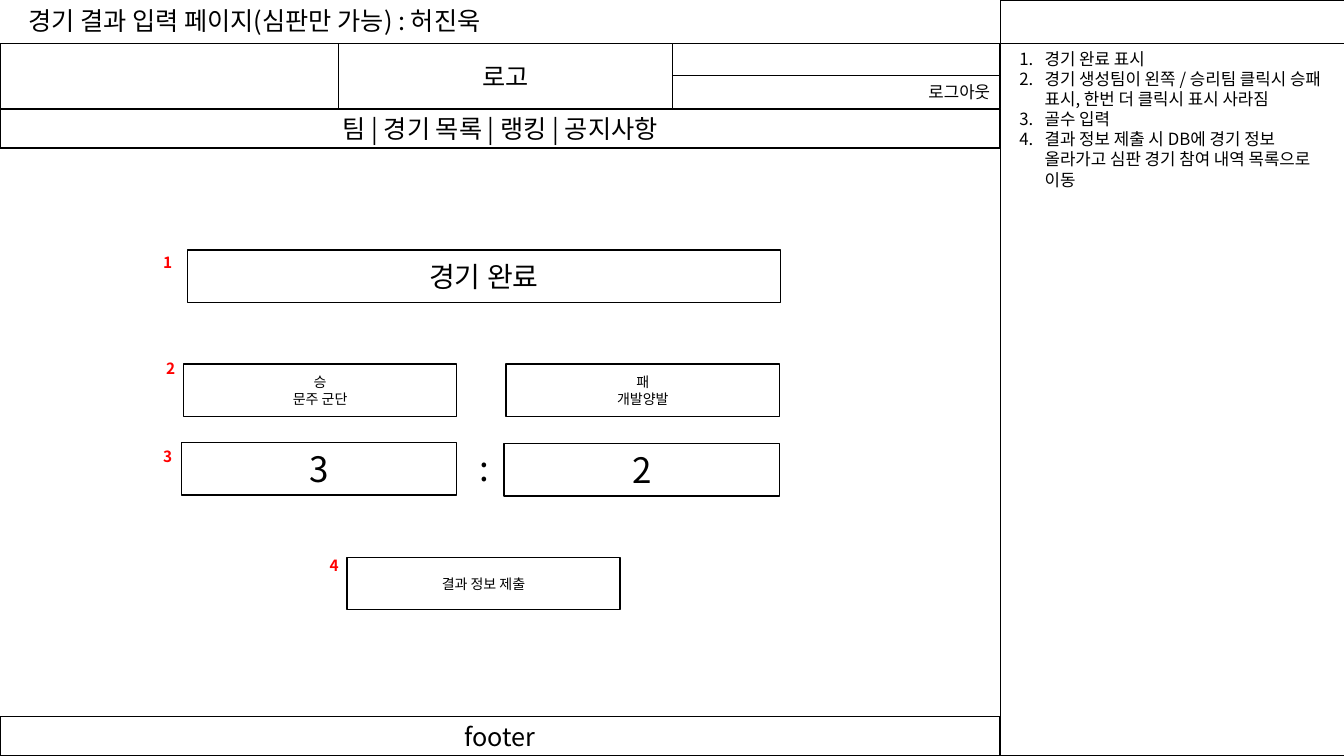
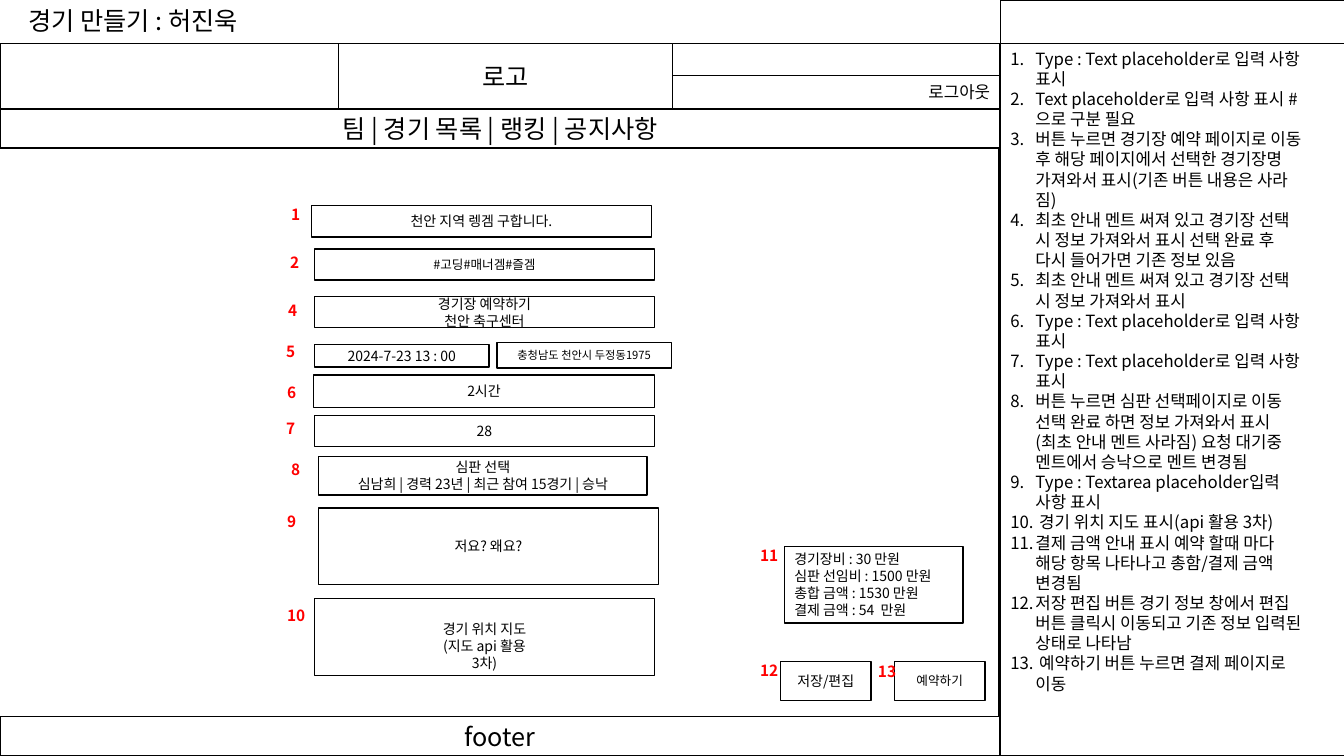
from dataclasses import dataclass

import pptx
import pptx.dml.color
import pptx.enum.shapes
import pptx.enum.text
import pptx.oxml
import pptx.oxml.ns
import pptx.util

Inches = pptx.util.Inches
Align = pptx.enum.text.PP_ALIGN
Anchor = pptx.enum.text.MSO_ANCHOR


@dataclass(frozen=True)
class Theme:
    font: str = "Noto Sans CJK KR"
    ink: str = "000000"
    paper: str = "FFFFFF"
    accent: str = "FF0000"
    line: float = 1
    heading: int = 18
    note: int = 12
    marker: int = 11
    banner: int = 20
    score: int = 25
    body: int = 10
    small: int = 9
    tiny: int = 8


@dataclass(frozen=True)
class Box:
    left: float
    top: float
    width: float
    height: float

    def inside(self, left, top, width, height):
        return Box(self.left + left, self.top + top, width, height)

    def lengths(self):
        return [Inches(v) for v in (self.left, self.top, self.width, self.height)]


@dataclass(frozen=True)
class Field:
    left: float
    top: float
    width: float
    height: float
    lines: tuple
    size: int = Theme.body
    number: str = ""
    marker_dx: float = 0
    marker_dy: float = 0
    align: Align = Align.CENTER
    margin_top: float = 0.05


THEME = Theme()
HEADER_TOP = 0.43
HEADER = Box(0, HEADER_TOP, 9.92, 1.04)
CONTENT = Box(0, 1.47, 9.92, 5.64)
FOOTER = Box(0, 7.11, 9.92, 0.39)
SIDEBAR = Box(9.92, 0, 3.42, 7.5)


def rgb(value):
    return pptx.dml.color.RGBColor.from_string(value)


def style_text(frame, size, align=Align.LEFT, color=THEME.ink, bold=False):
    for paragraph in frame.paragraphs:
        paragraph.alignment = align
        paragraph.line_spacing = 1.0
        paragraph.space_before = pptx.util.Pt(0)
        for run in paragraph.runs:
            run.font.name = THEME.font
            run.font.size = pptx.util.Pt(size)
            run.font.bold = bold
            run.font.color.rgb = rgb(color)
            east_asian = pptx.oxml.ns.qn("a:ea")
            run.font._element.makeelement(east_asian)
            pptx.oxml.xmlchemy.etree.SubElement(
                run.font._element, east_asian, typeface=THEME.font)


def outline(shape):
    shape.fill.solid()
    shape.fill.fore_color.rgb = rgb(THEME.paper)
    shape.line.color.rgb = rgb(THEME.ink)
    shape.line.width = pptx.util.Pt(THEME.line)


def add_panel(slide, box, lines=(), size=THEME.body, align=Align.CENTER):
    panel = slide.shapes.add_shape(
        pptx.enum.shapes.MSO_SHAPE.RECTANGLE, *box.lengths())
    panel.shadow.inherit = False
    outline(panel)
    if lines:
        panel.text_frame.text = "\n".join(lines)
        panel.text_frame.vertical_anchor = Anchor.MIDDLE
        style_text(panel.text_frame, size, align)
    return panel


def add_label(slide, box, text, size, color=THEME.ink, bold=False):
    label = slide.shapes.add_textbox(*box.lengths())
    label.text_frame.word_wrap = True
    label.text_frame.text = text
    style_text(label.text_frame, size, color=color, bold=bold)


def add_field(slide, region, field):
    box = region.inside(field.left, field.top, field.width, field.height)
    panel = add_panel(slide, box, field.lines, field.size, field.align)
    panel.text_frame.margin_top = Inches(field.margin_top)
    if field.number:
        width = 0.38 if len(field.number) == 1 else 0.5
        add_label(slide, box.inside(field.marker_dx, field.marker_dy, width, 0.29),
                  field.number, THEME.marker, THEME.accent, True)


def place_placeholder(placeholder, box, text):
    placeholder.left, placeholder.top, placeholder.width, placeholder.height = box.lengths()
    frame = placeholder.text_frame
    frame.text = text
    frame.word_wrap = True
    frame.auto_size = pptx.enum.text.MSO_AUTO_SIZE.NONE
    frame.vertical_anchor = Anchor.TOP
    return frame


def add_title(slide, text):
    title = place_placeholder(slide.shapes.title, Box(0.18, 0, 9, 0.4), text)
    style_text(title, THEME.heading)


def add_sidebar(slide, box, notes, margin_left, margin_right):
    body = slide.placeholders[1]
    notes_box = box.inside(0, HEADER_TOP, box.width, box.height - HEADER_TOP)
    frame = place_placeholder(body, notes_box, "\n".join(notes))
    outline(body)
    frame.margin_left = Inches(margin_left)
    frame.margin_right = Inches(margin_right)
    style_text(frame, THEME.note)
    for paragraph in frame.paragraphs:
        properties = paragraph._p.get_or_add_pPr()
        properties.set("marL", str(Inches(0.25)))
        properties.set("indent", str(-Inches(0.25)))
        pptx.oxml.xmlchemy.etree.SubElement(
            properties, pptx.oxml.ns.qn("a:buFont"), typeface="+mj-lt")
        pptx.oxml.xmlchemy.etree.SubElement(
            properties, pptx.oxml.ns.qn("a:buAutoNum"), type="arabicPeriod")
    add_panel(slide, box.inside(0, 0, box.width, HEADER_TOP))


def add_header(slide, box):
    add_panel(slide, box)
    add_panel(slide, box.inside(3.36, 0, 3.31, 0.65), ["로고"], THEME.heading)
    add_panel(slide, box.inside(0, 0.65, box.width, 0.39),
              ["팀 | 경기 목록 | 랭킹 | 공지사항"], THEME.heading)
    add_panel(slide, box.inside(6.67, 0.32, 3.25, 0.33),
              ["로그아웃"], THEME.note, Align.RIGHT)


def add_page(deck, title, notes, margin_left, margin_right):
    slide = deck.slides.add_slide(deck.slide_layouts[1])
    add_title(slide, title)
    add_sidebar(slide, SIDEBAR, notes, margin_left, margin_right)
    add_header(slide, HEADER)
    add_panel(slide, FOOTER, ["footer"], THEME.heading)
    return slide


def add_result_page(deck):
    notes = [
        "경기 완료 표시",
        "경기 생성팀이 왼쪽 / 승리팀 클릭시 승패 표시, 한번 더 클릭시 표시 사라짐",
        "골수 입력",
        "결과 정보 제출 시 DB에 경기 정보 올라가고 심판 경기 참여 내역 목록으로 이동",
    ]
    fields = [
        Field(1.86, 1.01, 5.88, 0.52, ("경기 완료",), THEME.banner, "1", -0.34, -0.02),
        Field(1.82, 2.14, 2.71, 0.52, ("승", "문주 군단"), THEME.body, "2", -0.27, -0.1),
        Field(5.02, 2.14, 2.71, 0.52, ("패", "개발양발")),
        Field(1.8, 2.92, 2.73, 0.52, ("3",), THEME.score, "3", -0.28, 0),
        Field(5, 2.93, 2.73, 0.52, ("2",), THEME.score),
        Field(3.44, 4.06, 2.71, 0.52, ("결과 정보 제출",), THEME.body, "4", -0.27, -0.06),
    ]
    slide = add_page(deck, "경기 결과 입력 페이지(심판만 가능) : 허진욱", notes, 0.19, 0.21)
    for field in fields:
        add_field(slide, CONTENT, field)
    add_label(slide, CONTENT.inside(4.66, 2.91, 0.28, 0.52), ":", THEME.score)


def add_creation_page(deck):
    typed_note = "Type : Text placeholder로 입력 사항 표시"
    notes = [
        typed_note,
        "Text placeholder로 입력 사항 표시 #으로 구분 필요",
        "버튼 누르면 경기장 예약 페이지로 이동 후 해당 페이지에서 선택한 경기장명 가져와서 표시(기존 버튼 내용은 사라짐)",
        "최초 안내 멘트 써져 있고 경기장 선택 시 정보 가져와서 표시 선택 완료 후 다시 들어가면 기존 정보 있음",
        "최초 안내 멘트 써져 있고 경기장 선택 시 정보 가져와서 표시",
        typed_note,
        typed_note,
        "버튼 누르면 심판 선택페이지로 이동 선택 완료 하면 정보 가져와서 표시(최초 안내 멘트 사라짐) 요청 대기중 멘트에서 승낙으로 멘트 변경됨",
        "Type : Textarea placeholder입력 사항 표시",
        " 경기 위치 지도 표시(api 활용 3차)",
        "결제 금액 안내 표시 예약 할때 마다 해당 항목 나타나고 총함/결제 금액 변경됨",
        "저장 편집 버튼 경기 정보 창에서 편집 버튼 클릭시 이동되고 기존 정보 입력된 상태로 나타남",
        " 예약하기 버튼 누르면 결제 페이지로 이동",
    ]
    costs = ("경기장비 : 30 만원", "심판 선임비 : 1500 만원",
             "총합 금액 : 1530 만원", "결제 금액 : 54  만원")
    referee = ("심판 선택", "심남희 | 경력 23년 | 최근 참여 15경기 | 승낙")
    map_lines = ("경기 위치 지도", "(지도 api 활용", "3차)")
    fields = [
        Field(3.09, 0.57, 3.37, 0.31, ("천안 지역 렝겜 구합니다.",), THEME.body, "1", -0.3, -0.05),
        Field(3.12, 1, 3.37, 0.31, ("#고딩#매너겜#즐겜",), THEME.small, "2", -0.34, -0.01),
        Field(3.12, 1.47, 3.37, 0.31, ("경기장 예약하기", "천안 축구센터"), THEME.body, "4", -0.36, 0),
        Field(3.12, 1.95, 1.73, 0.22, ("2024-7-23 13 : 00",), THEME.body, "5", -0.38, -0.08),
        Field(4.93, 1.93, 1.73, 0.25, ("충청남도 천안시 두정동1975",), THEME.tiny),
        Field(3.11, 2.25, 3.38, 0.32, ("2시간",), THEME.body, "6", -0.36, 0.03),
        Field(3.12, 2.65, 3.37, 0.31, ("28",), THEME.body, "7", -0.38, -0.01),
        Field(3.16, 3.06, 3.26, 0.38, referee, THEME.body, "8", -0.37, -0.01),
        Field(3.16, 3.57, 3.37, 0.76, ("저요? 왜요?",), THEME.body, "9", -0.41, -0.01),
        Field(3.12, 4.47, 3.37, 0.76, map_lines, THEME.body, "10", -0.37, 0.02, margin_top=0.22),
        Field(7.78, 3.95, 1.77, 0.76, costs, THEME.body, "11", -0.34, -0.05, Align.JUSTIFY),
        Field(7.74, 5.09, 0.9, 0.39, ("저장/편집",), THEME.body, "12", -0.3, -0.05),
        Field(8.87, 5.09, 0.9, 0.39, ("예약하기",), THEME.small, "13", -0.26, -0.04),
    ]
    slide = add_page(deck, "경기 만들기 : 허진욱", notes, 0.1, 0.39)
    add_panel(slide, CONTENT.inside(-0.01, 0, CONTENT.width, CONTENT.height))
    for field in fields:
        add_field(slide, CONTENT, field)


def main():
    deck = pptx.Presentation()
    deck.slide_width = Inches(13.33)
    deck.slide_height = Inches(7.5)
    add_result_page(deck)
    add_creation_page(deck)
    deck.save("out.pptx")


if __name__ == "__main__":
    main()
